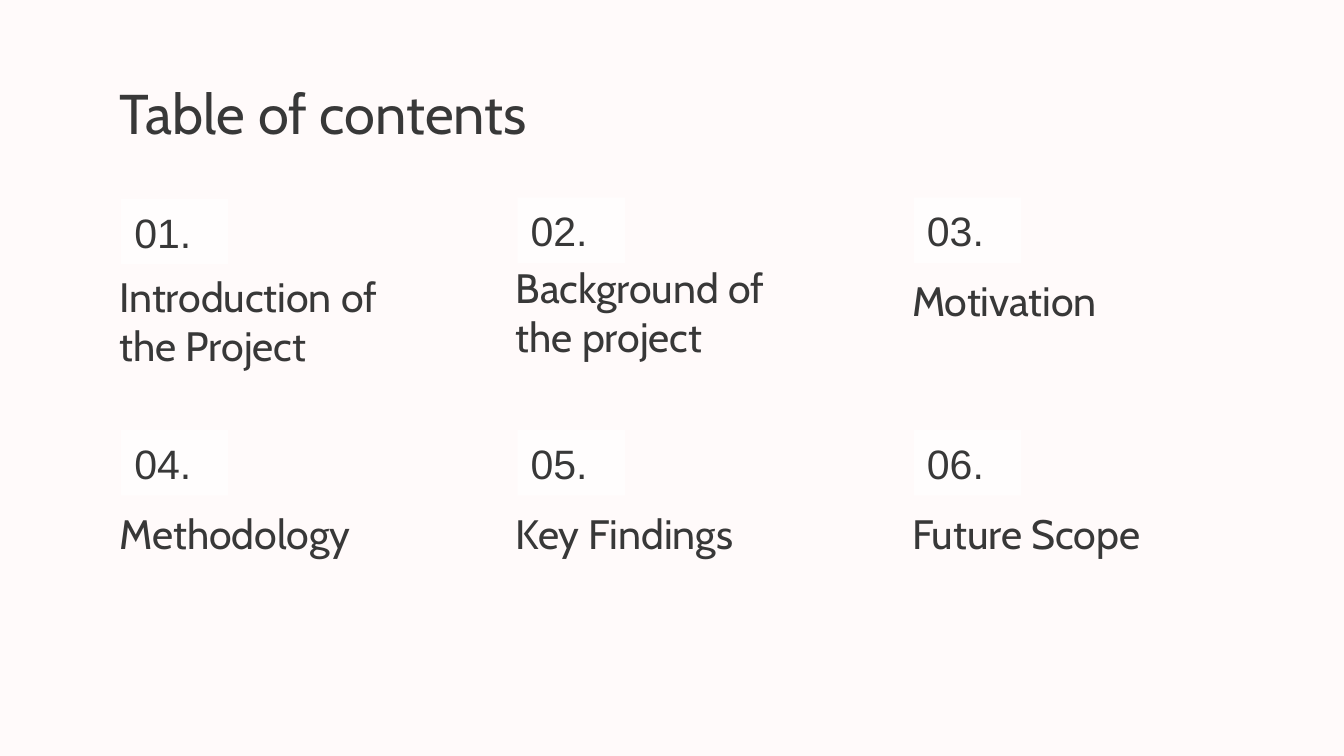
"""Build a table of contents slide with six numbered sections."""
from dataclasses import dataclass

from lxml.etree import SubElement
from pptx import Presentation
from pptx.dml.color import RGBColor
from pptx.enum.shapes import MSO_SHAPE
from pptx.enum.text import MSO_ANCHOR, PP_ALIGN
from pptx.oxml.ns import qn
from pptx.shapes.autoshape import Shape
from pptx.slide import Slide
from pptx.util import Cm, Pt


@dataclass(frozen=True)
class Theme:
    """Colours, fonts and type sizes of the slide."""
    background: RGBColor = RGBColor(0xFF, 0xFA, 0xFA)
    ink: RGBColor = RGBColor(0x38, 0x38, 0x38)
    tile: RGBColor = RGBColor(0xFF, 0xFF, 0xFF)
    tile_opacity: int = 69
    text_font: str = "Cabin"
    number_font: str = "Arial"
    title_size: int = 30
    item_size: int = 22


@dataclass(frozen=True)
class Section:
    """A contents entry with the tops of its tile and label in cm."""
    title: str
    tile_top: float
    label_top: float


THEME = Theme()
COLUMNS = 3
LEFT = 2.01
TILE_INDENT = 0.28
PITCH = 7.49
SECTIONS = (
    Section("Introduction of the Project", 3.76, 5.89),
    Section("Background of the project", 3.73, 5.72),
    Section("Motivation", 3.73, 5.03),
    Section("Methodology", 8.13, 9.45),
    Section("Key Findings", 8.13, 9.45),
    Section("Future Scope", 8.13, 9.45),
)


def write(sp: Shape, text: str, font: str, size: int, anchor: MSO_ANCHOR) -> None:
    """Put one left-aligned run in a shape."""
    tf = sp.text_frame
    tf.word_wrap = True
    tf.vertical_anchor = anchor
    tf.margin_left = tf.margin_right = Cm(0.25)
    tf.margin_top = tf.margin_bottom = Cm(0.25)
    p = tf.paragraphs[0]
    p.alignment = PP_ALIGN.LEFT
    r = p.add_run()
    r.text = text
    r.font.name = font
    r.font.size = Pt(size)
    r.font.color.rgb = THEME.ink


def add_tile(s: Slide, left: float, top: float, number: int) -> None:
    """Draw a translucent tile holding a section number."""
    sp = s.shapes.add_shape(MSO_SHAPE.RECTANGLE, Cm(left), Cm(top), Cm(2.03), Cm(1.24))
    sp.shadow.inherit = False
    sp.line.fill.background()
    sp.fill.solid()
    sp.fill.fore_color.rgb = THEME.tile
    color = sp.fill._xPr.find(qn("a:solidFill"))[0]
    SubElement(color, qn("a:alpha"), val=str(THEME.tile_opacity * 1000))
    write(sp, f"{number:02d}.", THEME.number_font, THEME.item_size, MSO_ANCHOR.MIDDLE)


def add_label(s: Slide, left: float, top: float, title: str) -> None:
    """Draw a bottom-anchored section title."""
    sp = s.shapes.add_textbox(Cm(left), Cm(top), Cm(6.4), Cm(1.35))
    write(sp, title, THEME.text_font, THEME.item_size, MSO_ANCHOR.BOTTOM)


def main() -> None:
    """Build and save the slide."""
    prs = Presentation()
    prs.slide_width, prs.slide_height = Cm(25.4), Cm(14.29)
    s = prs.slides.add_slide(prs.slide_layouts[6])
    s.background.fill.solid()
    s.background.fill.fore_color.rgb = THEME.background

    heading = s.shapes.add_textbox(Cm(LEFT), Cm(1.24), Cm(21.41), Cm(1.6))
    write(heading, "Table of contents", THEME.text_font, THEME.title_size, MSO_ANCHOR.TOP)

    for i, section in enumerate(SECTIONS):
        left = LEFT + i % COLUMNS * PITCH
        add_tile(s, left + TILE_INDENT, section.tile_top, i + 1)
        add_label(s, left, section.label_top, section.title)

    prs.save("out.pptx")


if __name__ == "__main__":
    main()
